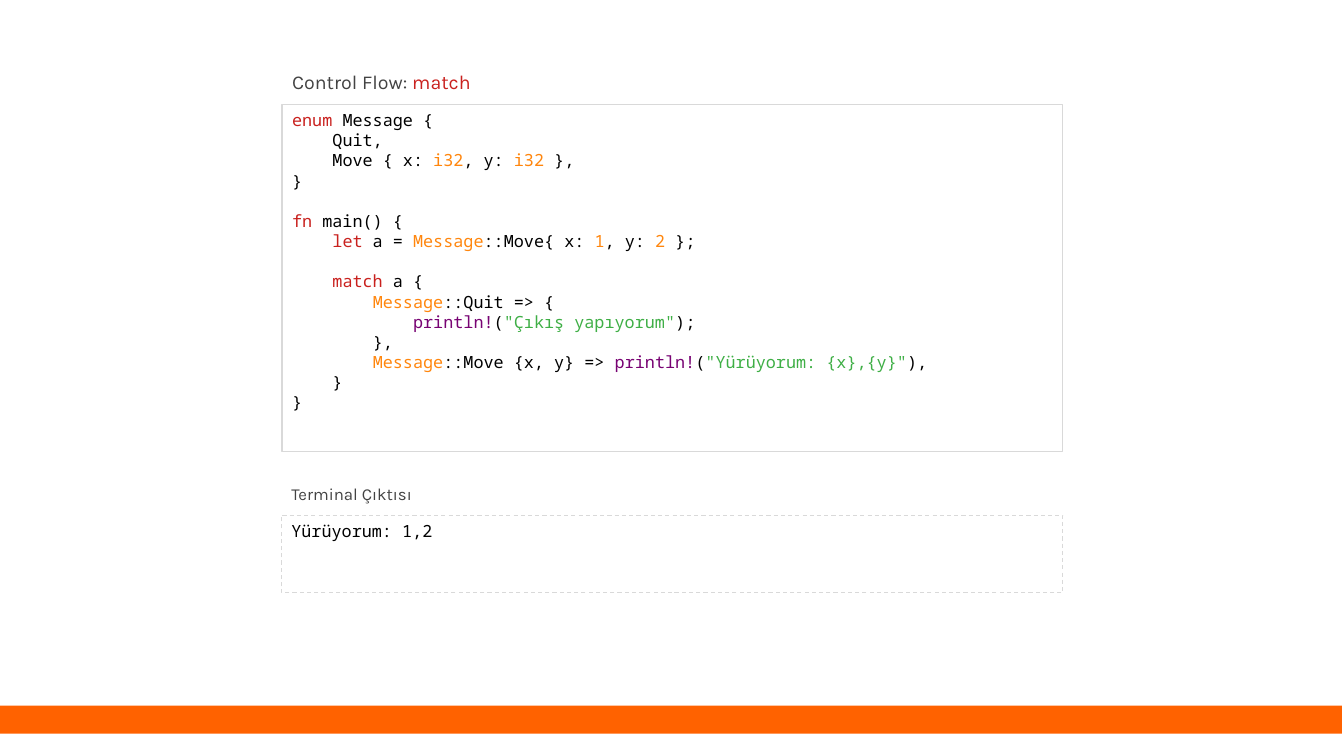
from pptx import Presentation
from pptx.dml.color import RGBColor
from pptx.enum.dml import MSO_LINE
from pptx.enum.shapes import MSO_SHAPE
from pptx.enum.text import MSO_ANCHOR, PP_ALIGN
from pptx.util import Cm, Pt

RECTANGLE = MSO_SHAPE.RECTANGLE
DASH = MSO_LINE.DASH
TOP = MSO_ANCHOR.TOP
LEFT = PP_ALIGN.LEFT

COLORS = {
    "white": "FFFFFF",
    "bar": "FF6200",
    "border": "D9D9D9",
    "heading": "434343",
    "plain": "000000",
    "keyword": "C9211E",
    "type": "FF860D",
    "macro": "780373",
    "string": "3FAF46",
}
HEADING_FONT = "Karla"
CODE_FONT = "Noto Sans Mono"
CODE_SIZE = 12
CODE_LINE = 14.4
INDENT = Cm(1.016)

CODE = [
    (0, [("enum", "keyword"), (" Message {", "plain")]),
    (1, [("Quit,", "plain")]),
    (1, [("Move { x: ", "plain"), ("i32", "type"), (", y: ", "plain"),
         ("i32", "type"), (" },", "plain")]),
    (0, [("}", "plain")]),
    None,
    (0, [("fn", "keyword"), (" main() {", "plain")]),
    (1, [("let", "keyword"), (" a = ", "plain"), ("Message", "type"),
         ("::Move{ x: ", "plain"), ("1", "type"), (", y: ", "plain"),
         ("2", "type"), (" };", "plain")]),
    None,
    (1, [("match ", "keyword"), ("a {", "plain")]),
    (2, [("Message", "type"), ("::Quit => {", "plain")]),
    (3, [("println!", "macro"), ("(", "plain"),
         ('"Çıkış yapıyorum"', "string"), (");", "plain")]),
    (2, [("},", "plain")]),
    (2, [("Message", "type"), ("::Move {x, y} => ", "plain"),
         ("println!", "macro"), ("(", "plain"),
         ('"Yürüyorum: {x},{y}"', "string"), ("),", "plain")]),
    (1, [("}", "plain")]),
    (0, [("}", "plain")]),
]


def rgb(name):
    return RGBColor.from_string(COLORS[name])


def add_run(paragraph, text, font=CODE_FONT, size=CODE_SIZE, color="plain"):
    run = paragraph.add_run()
    run.text = text
    run.font.name = font
    run.font.size = Pt(size)
    run.font.color.rgb = rgb(color)


def set_frame(shape, vertical_inset):
    frame = shape.text_frame
    frame.word_wrap = True
    frame.vertical_anchor = TOP
    frame.margin_left = frame.margin_right = Cm(0.25)
    frame.margin_top = frame.margin_bottom = Cm(vertical_inset)
    return frame


def add_rectangle(shapes, left, top, width, height, fill):
    shape = shapes.add_shape(RECTANGLE, Cm(left), Cm(top), Cm(width), Cm(height))
    shape.shadow.inherit = False
    shape.fill.solid()
    shape.fill.fore_color.rgb = rgb(fill)
    shape.line.fill.background()
    return shape


def add_code_box(shapes, left, top, width, height, lines, line_width, dash=None):
    shape = add_rectangle(shapes, left, top, width, height, "white")
    shape.line.color.rgb = rgb("border")
    shape.line.width = Pt(line_width)
    if dash:
        shape.line.dash_style = dash
    frame = set_frame(shape, 0.13)
    paragraph = frame.paragraphs[0]
    gap = 0
    for number, line in enumerate(lines):
        if line is None:
            gap += CODE_LINE
            continue
        if number:
            paragraph = frame.add_paragraph()
        level, runs = line
        paragraph.alignment = LEFT
        paragraph.space_before = Pt(gap)
        properties = paragraph._p.get_or_add_pPr()
        properties.set("marL", str(level * INDENT))
        properties.set("indent", "0")
        for text, color in runs:
            add_run(paragraph, text, color=color)
        gap = 0


def add_heading(shapes, left, top, width, height, runs, size):
    box = shapes.add_textbox(Cm(left), Cm(top), Cm(width), Cm(height))
    paragraph = set_frame(box, 0.25).paragraphs[0]
    for text, color in runs:
        add_run(paragraph, text, font=HEADING_FONT, size=size, color=color)


def main():
    presentation = Presentation()
    presentation.slide_width = Cm(33.86)
    presentation.slide_height = Cm(19.05)
    slide = presentation.slides.add_slide(presentation.slide_layouts[6])
    shapes = slide.shapes

    add_rectangle(shapes, -0.05, 17.78, 33.86, 0.71, "bar")
    add_code_box(shapes, 7.11, 2.64, 19.66, 8.74, CODE, 1)
    add_heading(shapes, 7.11, 1.52, 19.66, 1.12,
                [("Control Flow: ", "heading"), ("match", "keyword")], 14)

    terminal = shapes.add_group_shape().shapes
    add_code_box(terminal, 7.09, 12.98, 19.69, 1.96,
                 [(0, [("Yürüyorum: 1,2", "plain")])], 0.75, DASH)
    add_heading(terminal, 7.09, 11.94, 19.69, 1.02,
                [("Terminal Çıktısı", "heading")], 12)

    presentation.save("out.pptx")


if __name__ == "__main__":
    main()
